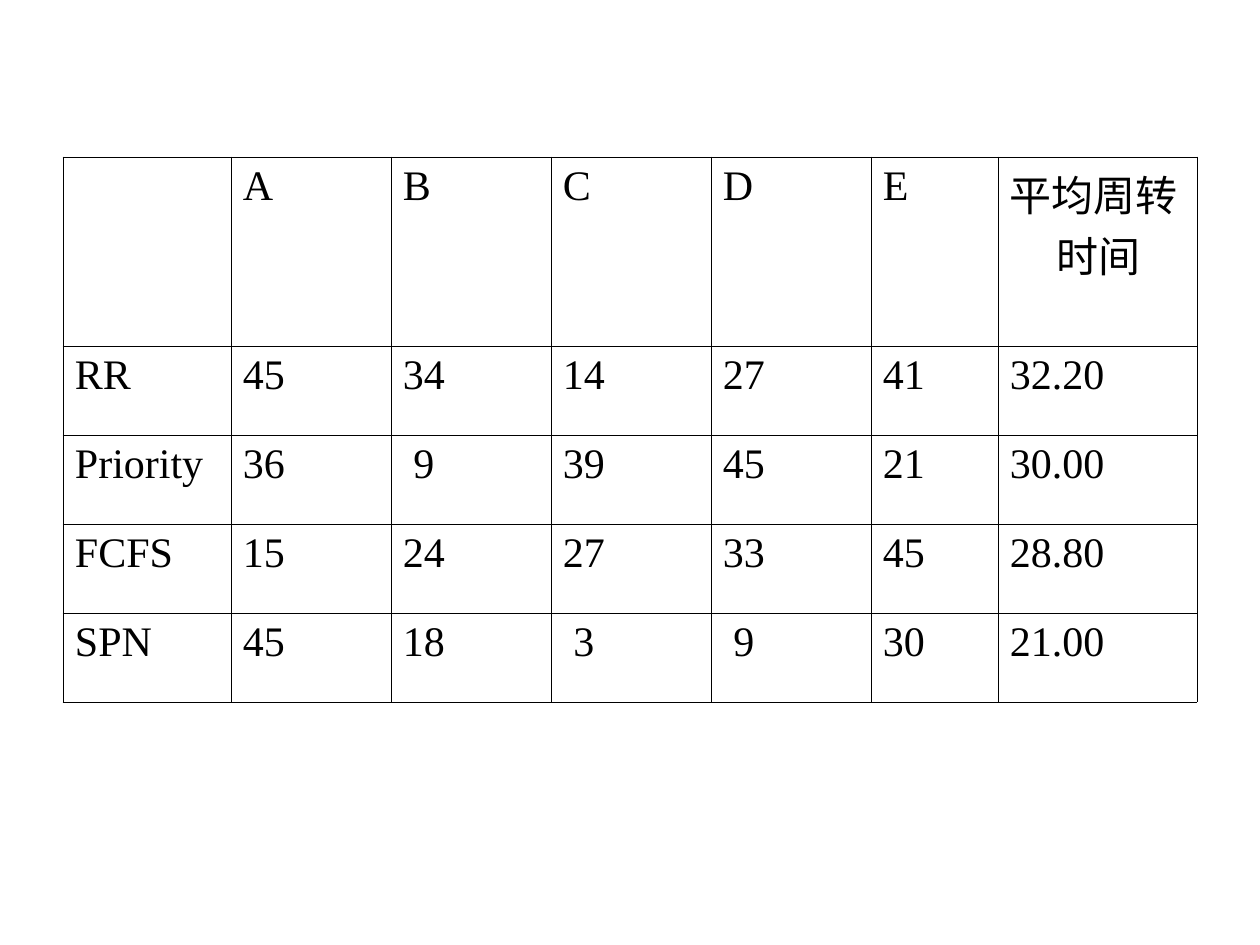
from lxml.etree import SubElement
from pptx import Presentation
from pptx.dml.color import RGBColor
from pptx.oxml import parse_xml
from pptx.oxml.ns import nsdecls
from pptx.util import Pt

PX = 914400 / 126


def px(n):
    """Turn pixels into EMU."""
    return round(n * PX)


def add_borders(cell, color, width):
    tc_pr = cell._tc.get_or_add_tcPr()
    for i, side in enumerate("LRTB"):
        tc_pr.insert(i, parse_xml(
            f'<a:ln{side} {nsdecls("a")} w="{Pt(width)}"><a:solidFill>'
            f'<a:srgbClr val="{color}"/></a:solidFill></a:ln{side}>'))


BLACK = "000000"
FONT = {"name": "Times New Roman", "size": Pt(24)}
MARGINS = {"margin_left": px(12), "margin_right": px(12),
           "margin_top": px(6), "margin_bottom": px(6)}
HANGING = px(47)
COL_WIDTHS = [168] + [160] * 4 + [127, 199]
ROW_HEIGHTS = [189] + [89] * 4
TURNAROUND = [
    ["", "A", "B", "C", "D", "E", "平均周转时间"],
    ["RR", "45", "34", "14", "27", "41", "32.20"],
    ["Priority", "36", " 9", "39", "45", "21", "30.00"],
    ["FCFS", "15", "24", "27", "33", "45", "28.80"],
    ["SPN", "45", "18", " 3", " 9", "30", "21.00"],
]

prs = Presentation()
prs.slide_width, prs.slide_height = px(1260), px(945)
s = prs.slides.add_slide(prs.slide_layouts[6])

table = s.shapes.add_table(len(ROW_HEIGHTS), len(COL_WIDTHS), px(63), px(157),
                           px(sum(COL_WIDTHS)), px(sum(ROW_HEIGHTS))).table
table.first_row = table.horz_banding = False
for col, width in zip(table.columns, COL_WIDTHS):
    col.width = px(width)
for row, height in zip(table.rows, ROW_HEIGHTS):
    row.height = px(height)

for row, values in zip(table.rows, TURNAROUND):
    for cell, value in zip(row.cells, values):
        cell.fill.background()
        add_borders(cell, BLACK, 0.45)
        for name, margin in MARGINS.items():
            setattr(cell, name, margin)
        if not value:
            continue
        p = cell.text_frame.paragraphs[0]
        p_pr = p._p.get_or_add_pPr()
        p_pr.set("marL", str(HANGING))
        p_pr.set("indent", str(-HANGING))
        SubElement(p_pr, p_pr.tag.replace("pPr", "buNone"))
        r = p.add_run()
        r.text = value
        for name, setting in FONT.items():
            setattr(r.font, name, setting)
        r.font.color.rgb = RGBColor.from_string(BLACK)

prs.save("out.pptx")
